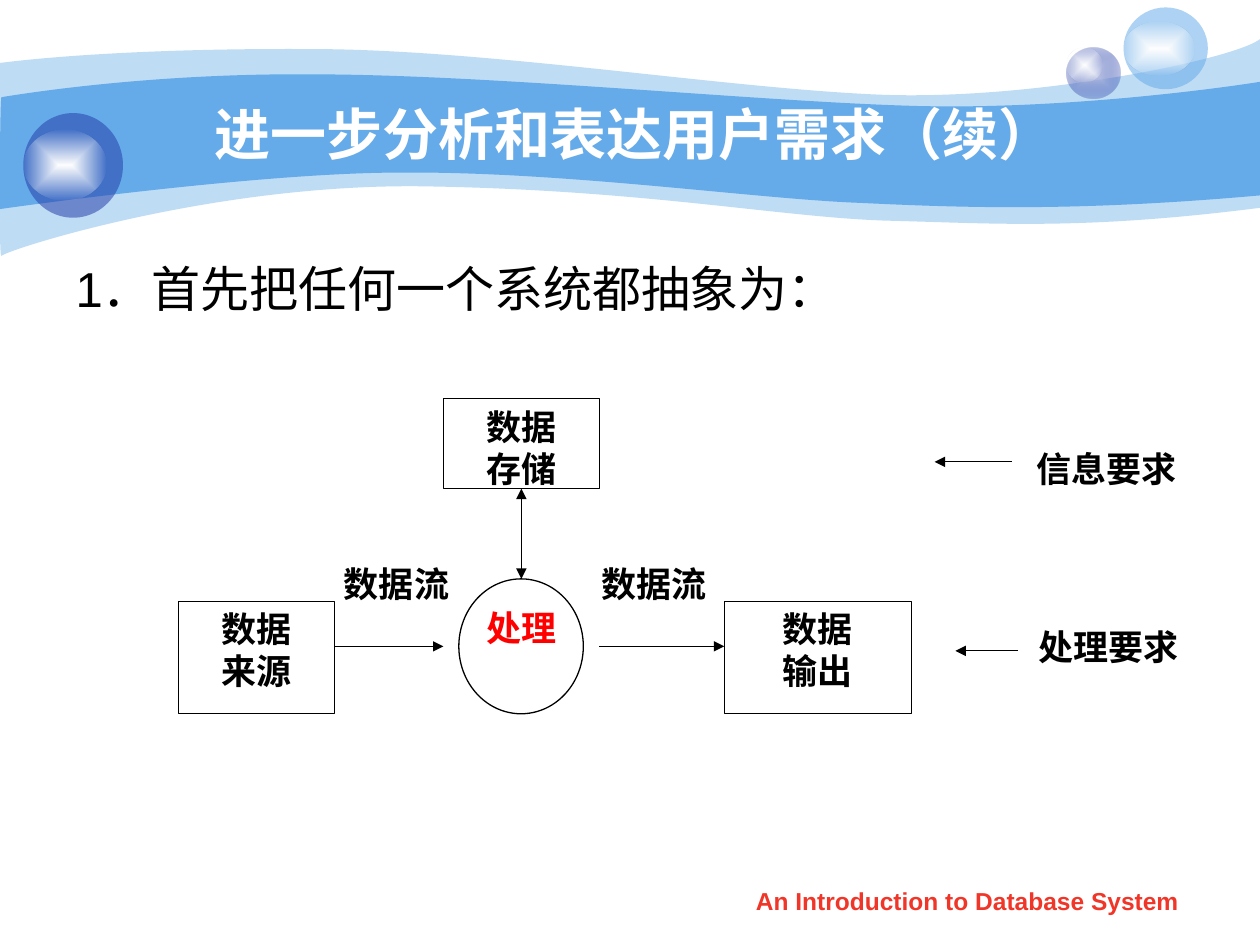
from lxml import etree
from pptx import Presentation
from pptx import util as u
from pptx.dml.color import RGBColor
from pptx.enum import shapes, text
from pptx.oxml import parse_xml
from pptx.oxml.ns import nsdecls, qn

SKY = RGBColor(0x65, 0xAA, 0xE9)
NAVY = RGBColor(0x23, 0x3D, 0xA9)
LILAC = RGBColor(0xC7, 0xCE, 0xE9)
WHITE = RGBColor(0xFF, 0xFF, 0xFF)
BLACK = RGBColor(0x00, 0x00, 0x00)
RED = RGBColor(0xFF, 0x00, 0x00)
FOOTER_RED = RGBColor(0xF0, 0x36, 0x28)
RECT = shapes.MSO_SHAPE.RECTANGLE
OVAL = shapes.MSO_SHAPE.OVAL


def paint(shape, *stops):
    colours = [f'<a:srgbClr val="{colour}"><a:alpha val="{opacity * 1000}"/></a:srgbClr>'
               for colour, opacity in stops]
    if len(colours) == 1:
        fill = f'<a:solidFill {nsdecls("a")}>{colours[0]}</a:solidFill>'
    else:
        fill = (f'<a:gradFill {nsdecls("a")}><a:gsLst><a:gs pos="0">{colours[0]}</a:gs>'
                f'<a:gs pos="100000">{colours[1]}</a:gs></a:gsLst><a:path path="rect">'
                '<a:fillToRect l="50000" t="50000" r="50000" b="50000"/></a:path></a:gradFill>')
    shape.shadow.inherit = False
    shape.line.fill.background()
    shape.fill.background()
    properties = shape._element.spPr
    properties.replace(properties.find(qn("a:noFill")), parse_xml(fill))


def style(para, size, name, colour, bold=True, align=text.PP_ALIGN.CENTER):
    para.alignment = align
    para.font.size = u.Pt(size)
    para.font.name = name
    para.font.color.rgb = colour
    para.font.bold = bold


deck = Presentation()
deck.slide_width, deck.slide_height = u.Cm(25.4), u.Cm(19.05)
page = deck.slides.add_slide(deck.slide_layouts[1])

CURVE_STARTS = (0, 3, 6, 10, 13, 16, 19)
waves = [
    (41, [(0, 1.27), (0.61, 1.19), (2.72, 0.97), (6.27, 0.99),
          (9.8, 0.99), (14.6, 1.78), (17.75, 1.91),
          (20.88, 2.03), (24.89, 1.19), (25.4, 0.79),
          (25.4, 4.19),
          (21.79, 4.65), (19.99, 4.5), (17.91, 4.45),
          (15.8, 4.39), (13.08, 3.84), (8.71, 3.76),
          (4.37, 3.66), (0.1, 5.05), (0.03, 5.16),
          (-0.03, 5.28), (0, 1.9), (0, 1.27)]),
    (100, [(0.03, 1.96), (0.05, 1.96), (2.79, 1.47), (6.3, 1.5),
           (9.8, 1.5), (15.11, 2.03), (18.24, 2.13),
           (21.36, 2.24), (24.79, 1.75), (25.4, 1.65),
           (25.4, 3.94),
           (21.67, 4.27), (19.43, 4.19), (17.32, 4.09),
           (15.21, 4.01), (11.35, 3.45), (8.05, 3.48),
           (5.16, 3.48), (-0.05, 4.22), (-0.03, 4.22),
           (0, 4.22), (0, 1.96), (0.03, 1.96)]),
]
for opacity, knots in waves:
    start, *others = [(u.Cm(x), u.Cm(y)) for x, y in knots]
    builder = page.shapes.build_freeform(*start)
    builder.add_line_segments(others)
    wave = builder.convert_to_shape()
    edges = list(wave._element.iter(qn("a:lnTo")))
    for first in CURVE_STARTS:
        curve = etree.Element(qn("a:cubicBezTo"))
        edges[first].addprevious(curve)
        for edge in edges[first:first + 3]:
            curve.append(edge[0])
            edge.getparent().remove(edge)
    paint(wave, (SKY, opacity))

glare = [(WHITE, 100), (WHITE, 0)]
balls = [
    ((21.51, 0.97, 1.07, 1.02), [(LILAC, 100), (NAVY, 31)]),
    ((21.51, 0.97, 0.71, 0.69), glare),
    ((22.65, 0.15, 1.7, 1.65), [(SKY, 53)]),
    ((22.65, 0.43, 1.42, 1.09), glare),
    ((0.47, 2.28, 2.01, 2.11), [(NAVY, 53)]),
    ((0.47, 2.62, 1.68, 1.42), glare),
]
for place, stops in balls:
    paint(page.shapes.add_shape(OVAL, *map(u.Cm, place)), *stops)

footer = page.shapes.add_textbox(u.Cm(14.5), u.Cm(17.73), u.Cm(10.01), u.Cm(0.89))
footer.text_frame.word_wrap = True
footer.text_frame.text = "An Introduction to Database System"
style(footer.text_frame.paragraphs[0], 14, "Arial", FOOTER_RED)

title, body = page.shapes.title, page.placeholders[1]
for holder, place, wording in [
    (title, (2.54, 1.9, 20.52, 1.57), "进一步分析和表达用户需求（续）"),
    (body, (1.27, 5.08, 22.86, 12.5), "1．首先把任何一个系统都抽象为："),
]:
    holder.left, holder.top, holder.width, holder.height = map(u.Cm, place)
    holder.text_frame.text = wording
    holder._element.getparent().append(holder._element)
title.text_frame.vertical_anchor = text.MSO_ANCHOR.MIDDLE
style(title.text_frame.paragraphs[0], 32, "Arial", WHITE)
para = body.text_frame.paragraphs[0]
para.space_before = u.Pt(0)
indent = para._p.get_or_add_pPr()
indent.set("marL", str(u.Cm(0.95)))
indent.set("indent", str(u.Cm(-0.95)))
etree.SubElement(indent, qn("a:buNone"))
style(para, 28, "Arial", BLACK, bold=False, align=text.PP_ALIGN.LEFT)

nodes = [
    (None, (11.77, 11.22, 2.82, 1.8), "数据流", BLACK),
    (None, (6.74, 11.22, 2.51, 1.8), "数据流", BLACK),
    (OVAL, (9.25, 11.67, 2.51, 2.72), "", BLACK),
    (RECT, (8.94, 8.04, 3.15, 1.81), "数据\n存储", BLACK),
    (None, (20.74, 8.89, 3.15, 1.85), "信息要求", BLACK),
    (RECT, (3.6, 12.12, 3.14, 2.27), "数据\n来源", BLACK),
    (None, (9.58, 12.11, 1.88, 1.35), "处理", RED),
    (RECT, (14.61, 12.12, 3.76, 2.27), "数据\n输出", BLACK),
    (None, (20.78, 12.48, 3.15, 1.45), "处理要求", BLACK),
]
for kind, place, wording, colour in nodes:
    place = map(u.Cm, place)
    if kind is None:
        box = page.shapes.add_textbox(*place)
    else:
        box = page.shapes.add_shape(kind, *place)
        box.shadow.inherit = False
        box.fill.background()
        box.line.color.rgb = BLACK
        box.line.width = u.Pt(0.75)
    if wording:
        frame = box.text_frame
        frame.word_wrap = True
        frame.vertical_anchor = text.MSO_ANCHOR.TOP
        frame.margin_left = frame.margin_right = u.Cm(0)
        frame.text = wording
        for para in frame.paragraphs:
            style(para, 20, "Times New Roman", colour)

arrows = [
    ((20.4, 9.31, 18.84, 9.31), ["tailEnd"]),
    ((6.74, 13.03, 8.94, 13.03), ["tailEnd"]),
    ((12.08, 13.03, 14.6, 13.03), ["tailEnd"]),
    ((20.52, 13.12, 19.26, 13.12), ["tailEnd"]),
    ((10.51, 9.85, 10.51, 11.67), ["headEnd", "tailEnd"]),
]
for ends, heads in arrows:
    arrow = page.shapes.add_connector(shapes.MSO_CONNECTOR.STRAIGHT, *map(u.Cm, ends))
    arrow.line.color.rgb = BLACK
    arrow.line.width = u.Pt(0.75)
    properties = arrow._element.spPr
    for head in heads:
        etree.SubElement(properties.find(qn("a:ln")), qn(f"a:{head}"), type="triangle")
    etree.SubElement(properties, qn("a:effectLst"))

deck.save("out.pptx")
